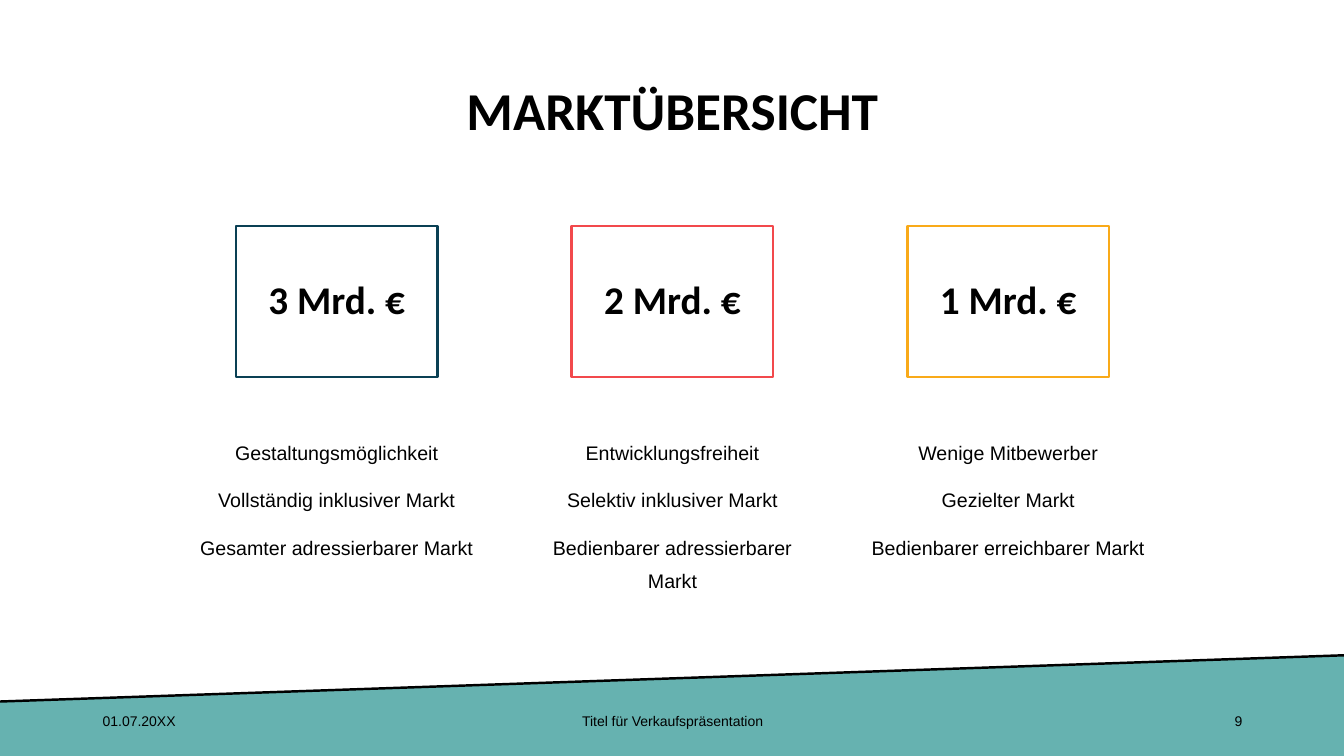
"""Build the market overview slide with three market sizes and their traits."""
from dataclasses import dataclass

from lxml import etree
from pptx import Presentation
from pptx import util as u
from pptx.dml.color import RGBColor
from pptx.enum import shapes, text
from pptx.oxml import ns

BLACK = RGBColor(0x00, 0x00, 0x00)
TEAL = RGBColor(0x66, 0xB2, 0xB0)
NAVY = RGBColor(0x0A, 0x40, 0x54)
RED = RGBColor(0xF2, 0x49, 0x4C)
AMBER = RGBColor(0xF9, 0xAA, 0x19)

HEADING_FONT = "Calibri"
BODY_FONT = "Arial"
FIRST_CENTER = 3.34
COLUMN_STEP = 3.33
BOX_WIDTH = 2
LIST_WIDTH = 3
CENTER = text.PP_ALIGN.CENTER


@dataclass(frozen=True)
class Market:
    value: str
    color: RGBColor
    placeholder: int
    traits: tuple[str, ...]


@dataclass(frozen=True)
class Footer:
    label: str
    left: float
    width: float
    align: text.PP_ALIGN


MARKETS = (
    Market("3 Mrd. €", NAVY, 1, (
        "Gestaltungsmöglichkeit",
        "Vollständig inklusiver Markt",
        "Gesamter adressierbarer Markt")),
    Market("2 Mrd. €", RED, 2, (
        "Entwicklungsfreiheit",
        "Selektiv inklusiver Markt",
        "Bedienbarer adressierbarer Markt")),
    Market("1 Mrd. €", AMBER, 4, (
        "Wenige Mitbewerber",
        "Gezielter Markt",
        "Bedienbarer erreichbarer Markt")),
)
FOOTERS = (
    Footer("01.07.20XX", 0.92, 3, text.PP_ALIGN.LEFT),
    Footer("Titel für Verkaufspräsentation", 4.42, 4.5, CENTER),
    Footer("9", 9.42, 3, text.PP_ALIGN.RIGHT),
)


def place(sp, left: float, top: float, width: float, height: float) -> None:
    sp.left, sp.top = u.Inches(left), u.Inches(top)
    sp.width, sp.height = u.Inches(width), u.Inches(height)


def prepare_frame(sp, anchor: text.MSO_ANCHOR):
    tf = sp.text_frame
    tf.word_wrap = True
    tf.auto_size = text.MSO_AUTO_SIZE.NONE
    tf.vertical_anchor = anchor
    return tf


def add_run(p, words: str, font: str, size: float, bold: bool = False) -> None:
    r = p.add_run()
    r.text = words
    r.font.name = font
    r.font.size = u.Pt(size)
    r.font.bold = bold
    r.font.color.rgb = BLACK


def add_heading(sp, words: str, size: float) -> None:
    p = prepare_frame(sp, text.MSO_ANCHOR.MIDDLE).paragraphs[0]
    p.alignment = CENTER
    p.line_spacing = 0.9
    add_run(p, words, HEADING_FONT, size, bold=True)


def add_market(s, market: Market, center: float) -> None:
    sp = s.shapes.add_shape(
        shapes.MSO_SHAPE.RECTANGLE, u.Inches(center - BOX_WIDTH / 2),
        u.Inches(2.24), u.Inches(BOX_WIDTH), u.Inches(1.5))
    sp.shadow.inherit = False
    sp.fill.background()
    sp.line.color.rgb = market.color
    sp.line.width = u.Pt(1.75)
    add_heading(sp, market.value, 28)

    sp = s.placeholders[market.placeholder]
    place(sp, center - LIST_WIDTH / 2, 4.22, LIST_WIDTH, 1.75)
    tf = prepare_frame(sp, text.MSO_ANCHOR.TOP)
    for i, trait in enumerate(market.traits):
        p = tf.add_paragraph() if i else tf.paragraphs[0]
        pPr = p._p.get_or_add_pPr()
        pPr.set("marL", "0")
        pPr.set("indent", "0")
        etree.SubElement(pPr, ns.qn("a:buNone"))
        p.alignment = CENTER
        p.line_spacing = u.Pt(24)
        p.space_before = u.Pt(10 if i else 0)
        add_run(p, trait, BODY_FONT, 14)


def add_base(s) -> None:
    builder = s.shapes.build_freeform(
        u.Inches(-0.01), u.Inches(6.96), scale=1.0)
    corners = ((13.35, 6.5), (13.35, 7.5), (0, 7.53))
    builder.add_line_segments(
        [(u.Inches(x), u.Inches(y)) for x, y in corners], close=True)
    sp = builder.convert_to_shape()
    sp.shadow.inherit = False
    sp.fill.solid()
    sp.fill.fore_color.rgb = TEAL
    sp.line.fill.background()

    edge = s.shapes.add_connector(
        shapes.MSO_CONNECTOR.STRAIGHT, u.Inches(13.35), u.Inches(6.5),
        u.Inches(-0.01), u.Inches(6.96))
    edge.line.color.rgb = BLACK
    edge.line.width = u.Pt(1.75)
    etree.SubElement(edge._element.spPr, ns.qn("a:effectLst"))


def add_footer(s, footer: Footer) -> None:
    sp = s.shapes.add_textbox(
        u.Inches(footer.left), u.Inches(6.95),
        u.Inches(footer.width), u.Inches(0.4))
    p = prepare_frame(sp, text.MSO_ANCHOR.MIDDLE).paragraphs[0]
    p.alignment = footer.align
    add_run(p, footer.label, BODY_FONT, 10)


def main() -> None:
    prs = Presentation()
    prs.slide_width, prs.slide_height = u.Inches(13.33), u.Inches(7.5)
    s = prs.slides.add_slide(prs.slide_layouts.get_by_name("Comparison"))
    add_base(s)
    place(s.shapes.title, 0.92, 0.4, 11.5, 1.45)
    add_heading(s.shapes.title, "MARKTÜBERSICHT", 38)
    for i, market in enumerate(MARKETS):
        add_market(s, market, FIRST_CENTER + i * COLUMN_STEP)
    for footer in FOOTERS:
        add_footer(s, footer)
    for sp in list(s.placeholders):
        if not sp.text_frame.text:
            sp._element.getparent().remove(sp._element)
    prs.save("out.pptx")


if __name__ == "__main__":
    main()
